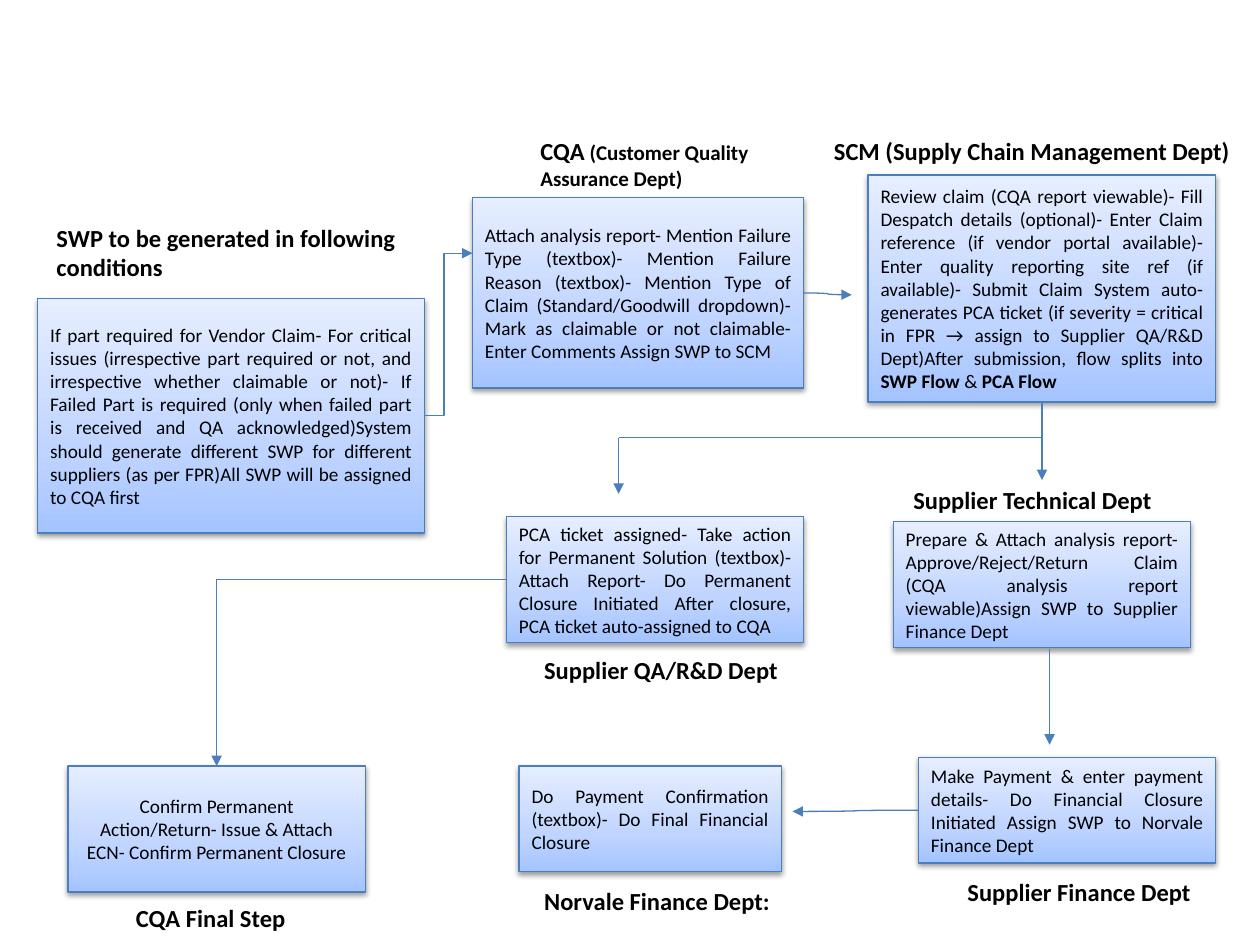
from copy import deepcopy

from lxml.etree import SubElement
from pptx import Presentation
from pptx.dml.color import RGBColor
from pptx.enum.shapes import MSO_CONNECTOR as Link, MSO_SHAPE as Preset
from pptx.enum.text import MSO_ANCHOR as Anchor, MSO_AUTO_SIZE as Fit, PP_ALIGN as Align
from pptx.oxml.ns import qn
from pptx.util import Inches, Pt

BLACK = RGBColor(0x00, 0x00, 0x00)
EDGE = RGBColor(0x4B, 0x7E, 0xBC)
GRADIENT = [
    (0, RGBColor(0xA4, 0xC4, 0xFF)),
    (0.35, RGBColor(0xBF, 0xD4, 0xFF)),
    (1, RGBColor(0xE6, 0xEE, 0xFF)),
]
COLUMNS, ROWS = 100, 75
CELL = Inches(10) / COLUMNS
BODY = {"name": "Calibri", "size": Pt(11), "bold": False}
STRONG = BODY | {"bold": True}
TITLE = BODY | {"size": Pt(14), "bold": True}
SUBTITLE = TITLE | {"size": Pt(12)}

# Each stage: box, step spans, heading box relative to the step, heading spans
STAGES = {
    "conditions": (
        (3, 23.7, 30.7, 18.6),
        [("If part required for Vendor Claim- For critical issues (irrespective part required or not, and "
          "irrespective whether claimable or not)- If Failed Part is required (only when failed part is "
          "received and QA acknowledged)System should generate different SWP for different suppliers "
          "(as per FPR)All SWP will be assigned to CQA first", BODY)],
        (0.5, -6.5, 34, 5.7), [("SWP to be generated in following conditions", TITLE)]),
    "cqa": (
        (37.5, 15.7, 26.3, 15.1),
        [("Attach analysis report- Mention Failure Type (textbox)- Mention Failure Reason (textbox)- "
          "Mention Type of Claim (Standard/Goodwill dropdown)- Mark as claimable or not claimable- "
          "Enter Comments Assign SWP to SCM", BODY)],
        (4.4, -5.4, 19.3, 5.4),
        [("CQA", TITLE), (" (Customer Quality Assurance Dept)", SUBTITLE)]),
    "technical": (
        (70.9, 41.4, 23.6, 10),
        [("Prepare & Attach analysis report- Approve/Reject/Return Claim (CQA analysis report "
          "viewable)Assign SWP to Supplier Finance Dept", BODY)],
        (0.6, -3.4, 50.1, 3.4), [("Supplier Technical Dept", TITLE)]),
    "scm": (
        (68.9, 13.9, 27.6, 18),
        [("Review claim (CQA report viewable)- Fill Despatch details (optional)- Enter Claim reference "
          "(if vendor portal available)- Enter quality reporting site ref (if available)- Submit Claim "
          "System auto-generates PCA ticket (if severity = critical in FPR → assign to Supplier QA/R&D "
          "Dept)After submission, flow splits into ", BODY),
         ("SWP Flow", STRONG), (" & ", BODY), ("PCA Flow", STRONG)],
        (-3.7, -3.6, 34.9, 3.4), [("SCM (Supply Chain Management Dept)", TITLE)]),
    "final": (
        (5.4, 60.8, 23.6, 10),
        [("Confirm Permanent Action/Return- Issue & Attach ECN- Confirm Permanent Closure", BODY)],
        (4.4, 10.4, 60.8, 3.4), [("CQA Final Step", TITLE)]),
    "quality": (
        (40.2, 41, 23.6, 10),
        [("PCA ticket assigned- Take action for Permanent Solution (textbox)- Attach Report- Do "
          "Permanent Closure Initiated After closure, PCA ticket auto-assigned to CQA", BODY)],
        (2, 10.5, 60.8, 3.4), [("Supplier QA/R&D Dept", TITLE)]),
    "payment": (
        (72.9, 60.1, 23.6, 8.4),
        [("Make Payment & enter payment details- Do Financial Closure Initiated Assign SWP to Norvale "
          "Finance Dept", BODY)],
        (2.9, 9, 60.8, 3.4), [("Supplier Finance Dept", TITLE)]),
    "confirmation": (
        (41.2, 60.8, 20.8, 8.4),
        [("Do Payment Confirmation (textbox)- Do Final Financial Closure", BODY)],
        (1, 9, 36.2, 3.4), [("Norvale Finance Dept:", TITLE)]),
}


def cells(*lengths):
    """Turn grid cells into slide lengths."""
    return [round(length * CELL) for length in lengths]


def assign(target, values):
    """Set each attribute named in a dict of format values."""
    for name, value in values.items():
        setattr(target, name, value)


def write(frame, spans, align, anchor):
    """Fill a text frame with one paragraph of formatted spans."""
    assign(frame, {"word_wrap": True, "vertical_anchor": anchor})
    para = frame.paragraphs[0]
    para.alignment = align
    for text, style in spans:
        span = para.add_run()
        span.text = text
        assign(span.font, style)
        span.font.color.rgb = BLACK


def add_step(page, area, spans, align):
    """Draw a gradient step box with a soft shadow below it."""
    box = page.shapes.add_shape(Preset.RECTANGLE, *cells(*area))
    box.shadow.inherit = False
    effects = box._element.spPr.find(qn("a:effectLst"))
    shadow = SubElement(effects, qn("a:outerShdw"), blurRad="40000", dist="20000",
                        dir="5400000", rotWithShape="0")
    tint = SubElement(shadow, qn("a:srgbClr"), val="000000")
    SubElement(tint, qn("a:alpha"), val="38000")
    box.fill.gradient()
    box.fill.gradient_angle = 90
    stops = box._element.spPr.find(f".//{qn('a:gsLst')}")
    stops.append(deepcopy(stops[0]))
    for stop, (position, color) in zip(box.fill.gradient_stops, GRADIENT):
        stop.position = position
        stop.color.rgb = color
    box.line.color.rgb = EDGE
    box.line.width = Pt(0.75)
    write(box.text_frame, spans, align, Anchor.MIDDLE)
    return box


def add_stage(page, area, step, offset, heading, align=Align.JUSTIFY):
    """Place a step and its heading relative to the given box."""
    box = add_step(page, area, step, align)
    left, top, width, height = offset
    label = page.shapes.add_textbox(*cells(area[0] + left, area[1] + top, width, height))
    write(label.text_frame, heading, Align.LEFT, Anchor.TOP)
    label.text_frame.auto_size = Fit.SHAPE_TO_FIT_TEXT
    return box


def add_flow(page, start, end, kind=Link.STRAIGHT, arrow=True, begin=None, finish=None):
    """Draw a flow line, joined to boxes where (box, side) is given."""
    flow = page.shapes.add_connector(kind, *cells(*start, *end))
    if begin:
        flow.begin_connect(*begin)
    if finish:
        flow.end_connect(*finish)
    flow.line.color.rgb = EDGE
    flow.line.width = Pt(0.75)
    if arrow:
        SubElement(flow.line._get_or_add_ln(), qn("a:tailEnd"), type="triangle")
    SubElement(flow._element.spPr, qn("a:effectLst"))
    return flow


def add_flows(page, boxes):
    """Link the stages in the order the claim moves."""
    entry = add_flow(page, (33.7, 33), (37.5, 20.1), Link.ELBOW)
    guides = entry._element.spPr.find(qn("a:prstGeom")).get_or_add_avLst()
    SubElement(guides, qn("a:gd"), name="adj1", fmla="val 40300")
    add_flow(page, (63.8, 23.2), (67.6, 23.4), Link.CURVE, begin=(boxes["cqa"], 3))

    trunk, branch, split = 82.7, 49.1, 34.75
    add_flow(page, (trunk, 31.9), (trunk, split), arrow=False, begin=(boxes["scm"], 2))
    add_flow(page, (trunk, split), (branch, split), arrow=False)
    add_flow(page, (branch, split), (branch, 39.2))
    add_flow(page, (trunk, 33.6), (trunk, 38.1))

    add_flow(page, (83.3, 51.5), (83.3, 59.1))
    closure = add_flow(page, (40.2, 46), (17.2, 60.8), Link.ELBOW,
                       begin=(boxes["quality"], 1), finish=(boxes["final"], 0))
    closure._element.spPr.find(qn("a:prstGeom")).set("prst", "bentConnector2")
    add_flow(page, (72.9, 64.3), (62.9, 64.4), Link.CURVE, begin=(boxes["payment"], 1))


def main():
    """Build the claim workflow slide."""
    deck = Presentation()
    assign(deck, {"slide_width": round(COLUMNS * CELL), "slide_height": round(ROWS * CELL)})
    page = deck.slides.add_slide(deck.slide_layouts[6])
    boxes = {}
    for name, stage in STAGES.items():
        align = Align.CENTER if name == "final" else Align.JUSTIFY
        boxes[name] = add_stage(page, *stage, align)
    add_flows(page, boxes)
    deck.save("out.pptx")


if __name__ == "__main__":
    main()
